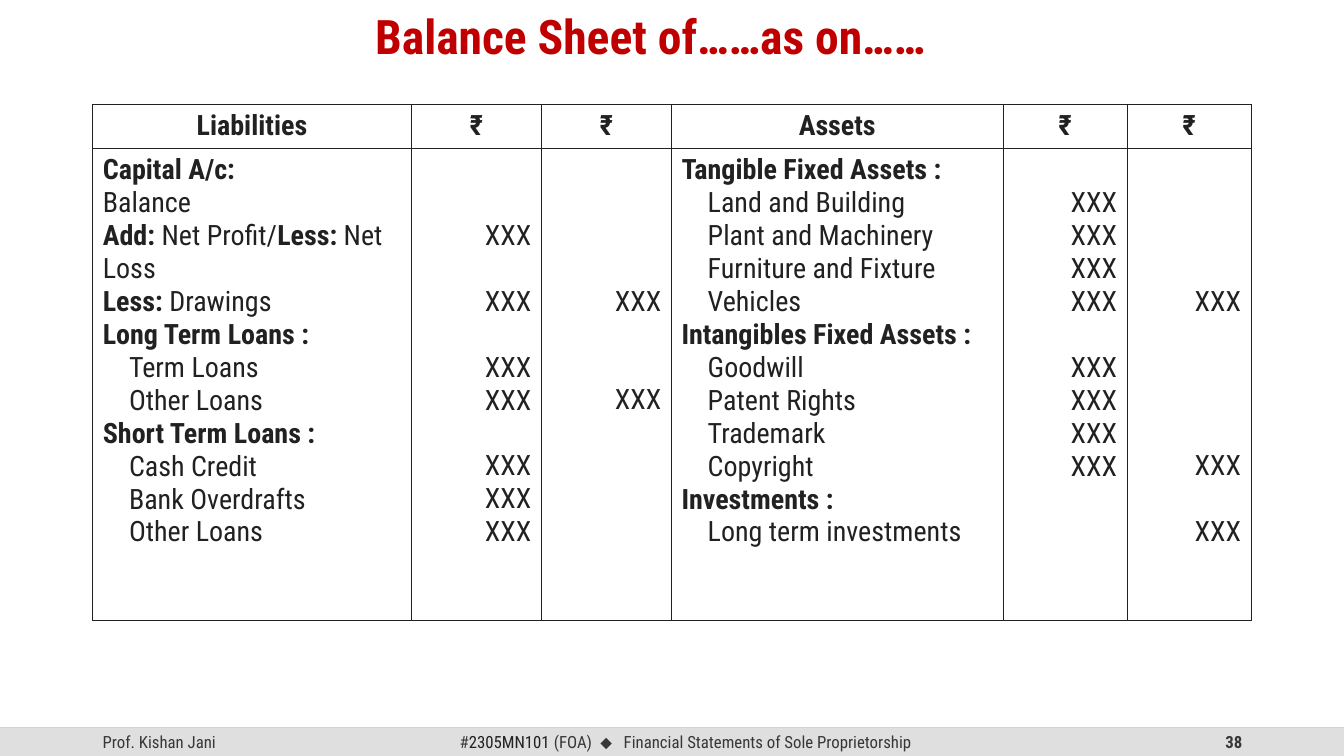
"""Build the balance sheet format slide with its table and footer."""
from lxml.etree import SubElement
from pptx import Presentation
from pptx.dml.color import RGBColor
from pptx.enum.shapes import MSO_CONNECTOR, MSO_SHAPE
from pptx.enum.text import MSO_ANCHOR, PP_ALIGN
from pptx.oxml import parse_xml
from pptx.oxml.ns import nsdecls, qn
from pptx.util import Inches, Pt

COLORS = {"title": "C00000", "ink": "212121", "footer": "373737",
          "bar": "DFDFDF", "rule": "BFBFBF"}
FONT = "Roboto Condensed"
PITCH = 23.5


def add_run(p, text, size, color, bold=False, font=FONT):
    r = p.add_run()
    r.text = text
    r.font.size, r.font.bold, r.font.name = Pt(size), bold, font
    r.font.color.rgb = RGBColor.from_string(COLORS[color])
    return r


def add_box(left, top, width, height, align):
    tf = s.shapes.add_textbox(Inches(left), Inches(top), Inches(width), Inches(height)).text_frame
    tf.word_wrap = True
    tf.vertical_anchor = MSO_ANCHOR.MIDDLE
    p = tf.paragraphs[0]
    p.alignment = align
    return p


prs = Presentation()
prs.slide_width, prs.slide_height = Inches(13.33), Inches(7.5)
s = prs.slides.add_slide(prs.slide_layouts[6])

rule = s.shapes.add_connector(MSO_CONNECTOR.STRAIGHT, Inches(0), Inches(7.22),
                              Inches(13.33), Inches(7.22))
rule.line.width = Pt(1)
rule.line.color.rgb = RGBColor.from_string(COLORS["rule"])
SubElement(rule.line._ln.find(".//" + qn("a:srgbClr")), qn("a:alpha")).set("val", "70000")
SubElement(rule._element.spPr, qn("a:effectLst"))

bar = s.shapes.add_shape(MSO_SHAPE.RECTANGLE, Inches(0), Inches(7.22), Inches(13.33), Inches(0.28))
bar.shadow.inherit = False
bar.fill.solid()
bar.fill.fore_color.rgb = RGBColor.from_string(COLORS["bar"])
bar.line.fill.background()

add_run(add_box(0.92, 7.22, 3, 0.28, PP_ALIGN.LEFT), "Prof. Kishan Jani", 12, "footer")
add_run(add_box(9.42, 7.22, 3, 0.28, PP_ALIGN.RIGHT), "38", 12, "footer", True)
p = add_box(4.18, 7.22, 5.24, 0.28, PP_ALIGN.CENTER)
add_run(p, "#", 12, "footer")
add_run(p, "2305MN101 ", 12, "ink")
add_run(p, "(FOA)", 12, "footer")
diamond = add_run(p, " ⬥ ", 12, "footer", font="Arial")
diamond.font._element.set("spc", "250")
add_run(p, "Financial Statements of Sole Proprietorship", 12, "footer")

p = add_box(0, 0, 12.9, 0.78, PP_ALIGN.CENTER)
p.line_spacing = 0.9
add_run(p, "Balance Sheet of……as on……", 34, "title", True)

headers = ["Liabilities", "₹", "₹", "Assets", "₹", "₹"]
col_widths = [3.16, 1.29, 1.29, 3.29, 1.23, 1.23]
row_heights = [0.43, 4.68]
headings = {"Capital A/c:", "Long Term Loans :", "Short Term Loans :",
            "Tangible Fixed Assets :", "Intangibles Fixed Assets :", "Investments :"}
entries = {
    0: ["Capital A/c:", "Balance",
        [("Add: ", True), ("Net Profit/", False), ("Less:", True), (" Net Loss", False)],
        [("Less:", True), (" Drawings", False)],
        "Long Term Loans :", "Term Loans", "Other Loans",
        "Short Term Loans :", "Cash Credit", "Bank Overdrafts", "Other Loans"],
    3: ["Tangible Fixed Assets :", "Land and Building", "Plant and Machinery",
        "Furniture and Fixture", "Vehicles",
        "Intangibles Fixed Assets :", "Goodwill", "Patent Rights", "Trademark", "Copyright",
        "Investments :", "Long term investments"],
}
amount_lines = {1: [2, 4, 6, 7, 9, 10, 11], 2: [4, 7],
                4: [1, 2, 3, 4, 6, 7, 8, 9], 5: [4, 9, 11]}

table = s.shapes.add_table(2, 6, Inches(0.92), Inches(1.04), Inches(sum(col_widths)),
                           Inches(sum(row_heights))).table
table.first_row = table.horz_banding = False
for column, width in zip(table.columns, col_widths):
    column.width = Inches(width)
for row, height in zip(table.rows, row_heights):
    row.height = Inches(height)

for cell in table.iter_cells():
    cell.fill.background()
    tcPr = cell._tc.get_or_add_tcPr()
    for i, side in enumerate(["lnL", "lnR", "lnT", "lnB"]):
        tcPr.insert(i, parse_xml(
            f'<a:{side} {nsdecls("a")} w="12700"><a:solidFill>'
            f'<a:srgbClr val="{COLORS["ink"]}"/></a:solidFill></a:{side}>'))

for col, header in enumerate(headers):
    p = table.cell(0, col).text_frame.paragraphs[0]
    p.alignment = PP_ALIGN.CENTER
    add_run(p, header, 20, "ink", True)

for col, items in entries.items():
    tf = table.cell(1, col).text_frame
    for i, item in enumerate(items):
        p = tf.add_paragraph() if i else tf.paragraphs[0]
        parts = [(item, item in headings)] if isinstance(item, str) else item
        if isinstance(item, str) and item not in headings and item != "Balance":
            pPr = p._p.get_or_add_pPr()
            pPr.set("marL", str(Inches(0.26)))
            pPr.set("indent", "0")
        for text, bold in parts:
            add_run(p, text, 20, "ink", bold)

for col, lines in amount_lines.items():
    cell = table.cell(1, col)
    cell.margin_top = Inches(0.05) + Pt(lines[0] * PITCH)
    for i, line in enumerate(lines):
        p = cell.text_frame.add_paragraph() if i else cell.text_frame.paragraphs[0]
        p.alignment = PP_ALIGN.RIGHT
        if i:
            p.space_before = Pt((line - lines[i - 1] - 1) * PITCH)
        add_run(p, "XXX", 20, "ink")

prs.save("out.pptx")
